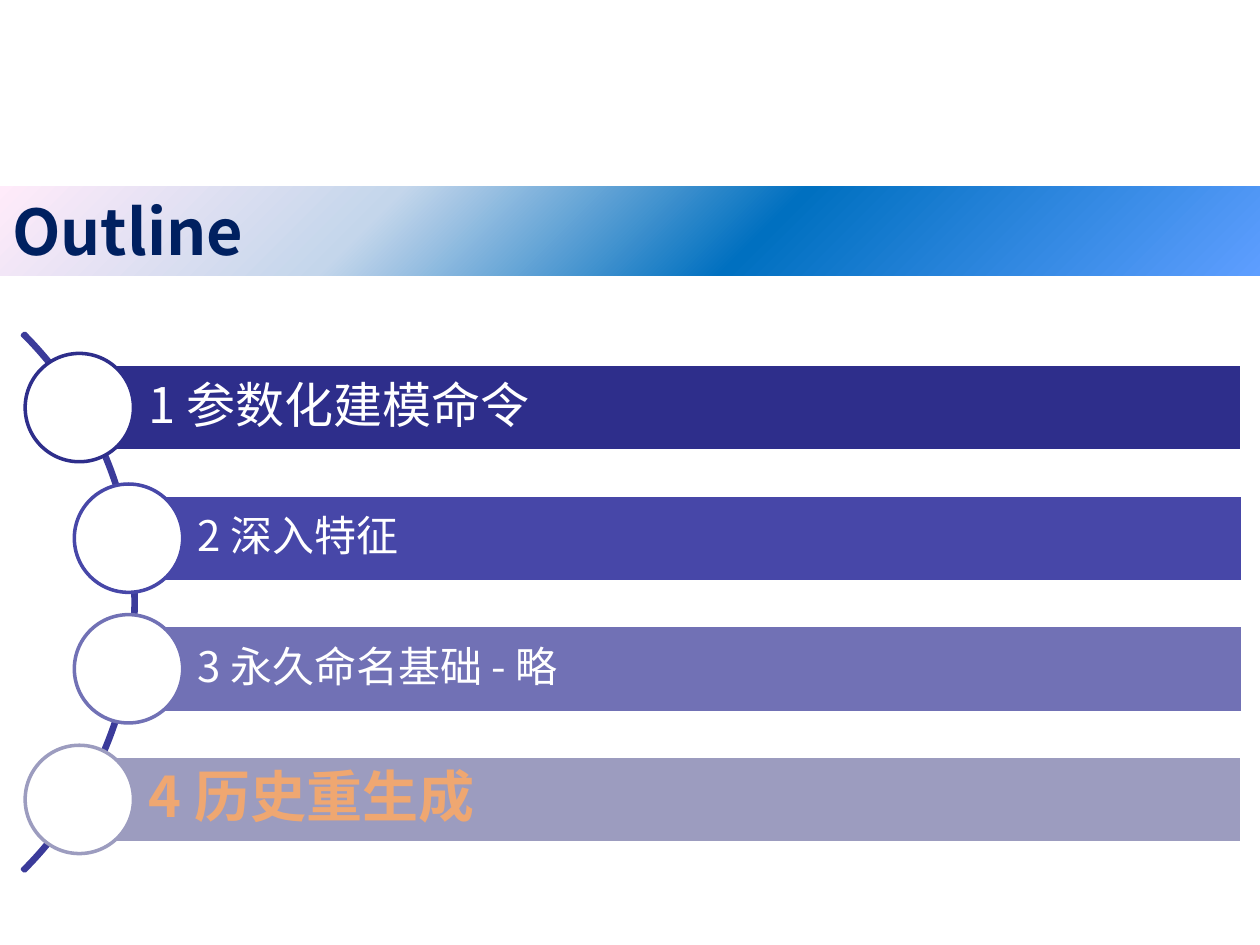
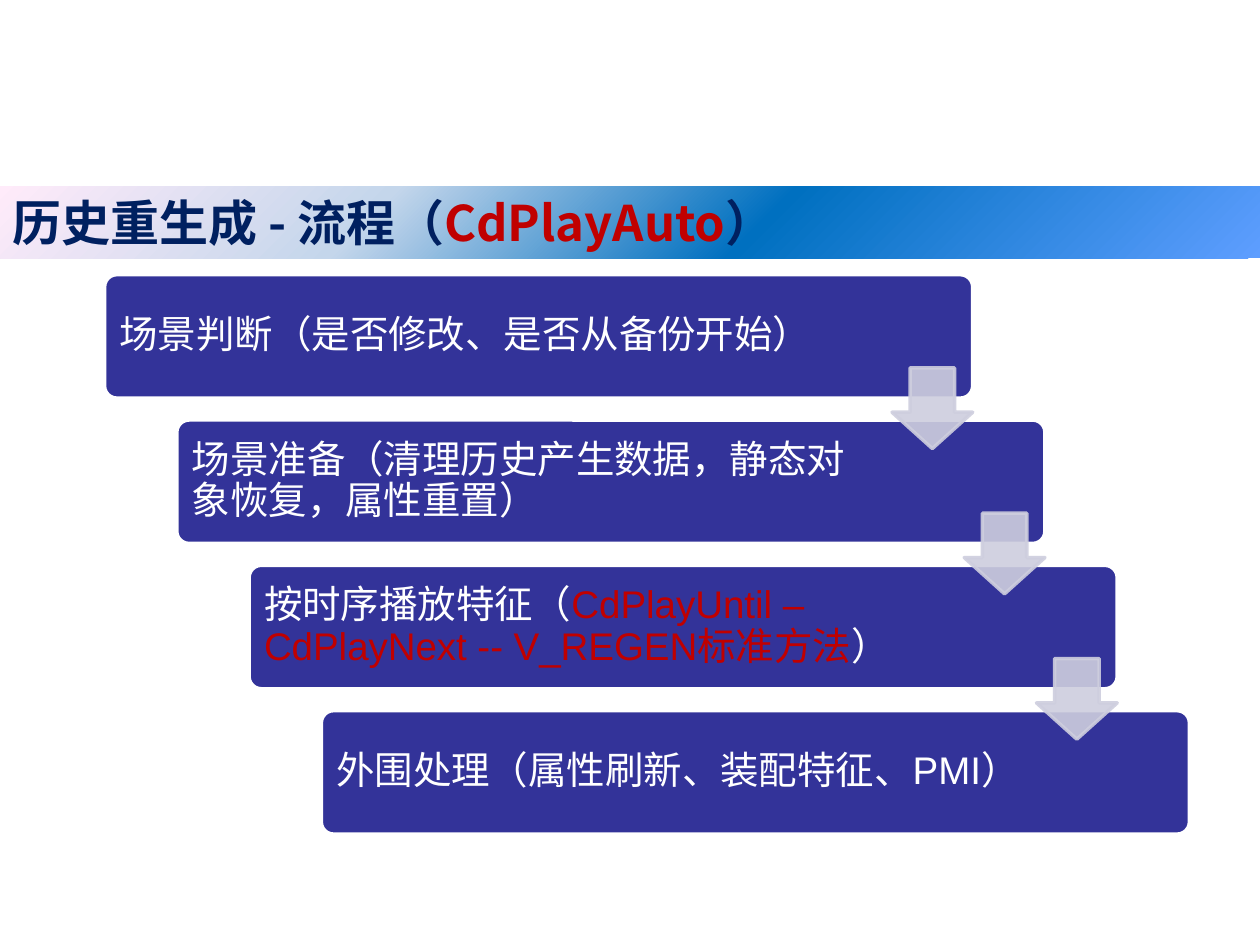
"""Build an outline slide and a stepped process slide under a shared gradient title band."""
from lxml import etree
from pptx import Presentation
from pptx.dml.color import RGBColor
from pptx.enum.shapes import MSO_SHAPE
from pptx.enum.text import MSO_ANCHOR
from pptx.oxml.ns import qn
from pptx.util import Inches, Pt

RECTANGLE = MSO_SHAPE.RECTANGLE
ROUNDED = MSO_SHAPE.ROUNDED_RECTANGLE
OVAL = MSO_SHAPE.OVAL
ARC = MSO_SHAPE.BLOCK_ARC
DOWN_ARROW = MSO_SHAPE.DOWN_ARROW
TOP, MIDDLE = MSO_ANCHOR.TOP, MSO_ANCHOR.MIDDLE

CJK_FONT, LATIN_FONT = "Noto Sans CJK SC", "Arial"
WHITE, NAVY, RED, ORANGE = "FFFFFF", "002060", "C00000", "EFA771"
INDIGO, ARC_COLOR, ARROW_COLOR = "333399", "3B3B9A", "CECEDE"
BAND_STOPS = [(0, "5E9EFF"), (40, "0070C0"), (70, "C4D6EB"), (100, "FFEBFA")]


def add_shape(slide, kind, left, top, width, height, fill, line=None, adjustments=()):
    shape = slide.shapes.add_shape(kind, Inches(left), Inches(top), Inches(width), Inches(height))
    shape.shadow.inherit = False
    shape.fill.solid()
    shape.fill.fore_color.rgb = RGBColor.from_string(fill)
    if line:
        shape.line.color.rgb = RGBColor.from_string(line)
        shape.line.width = Pt(2)
    else:
        shape.line.fill.background()
    for index, value in enumerate(adjustments):
        shape.adjustments[index] = value
    return shape


def add_text(shape, runs, size, font=CJK_FONT, bold=False, anchor=MIDDLE,
             margins=(0.1, 0.05, 0.1, 0.05), spacing=0.9):
    frame = shape.text_frame
    frame.word_wrap = True
    frame.vertical_anchor = anchor
    frame.margin_left, frame.margin_top, frame.margin_right, frame.margin_bottom = map(Inches, margins)
    paragraph = frame.paragraphs[0]
    paragraph.alignment = 1
    paragraph.line_spacing = spacing
    for text, color in runs:
        run = paragraph.add_run()
        run.text = text
        run.font.size = Pt(size)
        run.font.bold = bold
        run.font.name = font
        run.font.color.rgb = RGBColor.from_string(color)
        etree.SubElement(run.font._element, qn("a:ea"), typeface=CJK_FONT)


presentation = Presentation()
presentation.slide_width, presentation.slide_height = Inches(10), Inches(7.5)

titles = [
    ([("Outline", NAVY)], 36, 0.71),
    ([("历史重生成 - 流程（", NAVY), ("CdPlayAuto", RED), ("）", NAVY)], 28, 0.57),
]
slides = []
for runs, size, band_height in titles:
    slide = presentation.slides.add_slide(presentation.slide_layouts[6])
    band = add_shape(slide, RECTANGLE, 0, 1.48, 10, band_height, WHITE)
    band.fill.gradient()
    band.fill.gradient_angle = 135
    stops = band.element.spPr.find(qn("a:gradFill")).find(qn("a:gsLst"))
    stops.clear()
    for position, color in BAND_STOPS:
        stop = etree.SubElement(stops, qn("a:gs"), pos=str(position * 1000))
        etree.SubElement(stop, qn("a:srgbClr"), val=color)
    add_text(band, runs, size, bold=True, anchor=TOP, spacing=1.0)
    slides.append(slide)
outline_slide, process_slide = slides

add_shape(outline_slide, ARC, -4.96, 1.76, 6.04, 6.04, ARC_COLOR, ARC_COLOR, (189, 27, 0.004))
topics = [
    ("1 参数化建模命令", 0.63, "2E2E8B", 28, WHITE, False),
    ("2 深入特征", 1.02, "4747A8", 24, WHITE, False),
    ("3 永久命名基础 - 略", 1.02, "7171B5", 24, WHITE, False),
    ("4 历史重生成", 0.63, "9C9CBF", 32, ORANGE, True),
]
bar_right, bar_height, circle_size = 9.86, 0.69, 0.86
for index, (text, left, bar_color, size, text_color, bold) in enumerate(topics):
    top = 2.89 + index * 3.11 / 3
    bar = add_shape(outline_slide, RECTANGLE, left, top, bar_right - left, bar_height, bar_color, WHITE)
    add_text(bar, [(text, text_color)], size, bold=bold, margins=(0.55, 0.08, 0.08, 0.08))
    add_shape(outline_slide, OVAL, left - circle_size / 2, top + (bar_height - circle_size) / 2,
              circle_size, circle_size, WHITE, bar_color)

steps = [
    ([("场景判断（是否修改、是否从备份开始）", WHITE)], 1.18),
    ([("场景准备（清理历史产生数据，静态对象恢复，属性重置）", WHITE)], 1.3),
    ([("按时序播放特征（", WHITE), ("CdPlayUntil – CdPlayNext -- V_REGEN标准方法", RED), ("）", WHITE)], 1.3),
    ([("外围处理（属性刷新、装配特征、PMI）", WHITE)], 1.3),
]
step_right, step_down = 1.72 / 3, 3.46 / 3
for index, (runs, right_margin) in enumerate(steps):
    box = add_shape(process_slide, ROUNDED, 0.83 + index * step_right, 2.18 + index * step_down,
                    6.89, 0.98, INDIGO, WHITE, (0.1,))
    add_text(box, runs, 22, font=LATIN_FONT, margins=(0.09, 0.09, right_margin, 0.09))

for index in range(len(steps) - 1):
    arrow = add_shape(process_slide, DOWN_ARROW, 7.08 + index * step_right, 2.92 + index * step_down,
                      0.64, 0.64, ARROW_COLOR, ARROW_COLOR, (0.55, 0.45))
    for color in arrow.element.spPr.iter(qn("a:srgbClr")):
        etree.SubElement(color, qn("a:alpha"), val="90000")

presentation.save("out.pptx")
